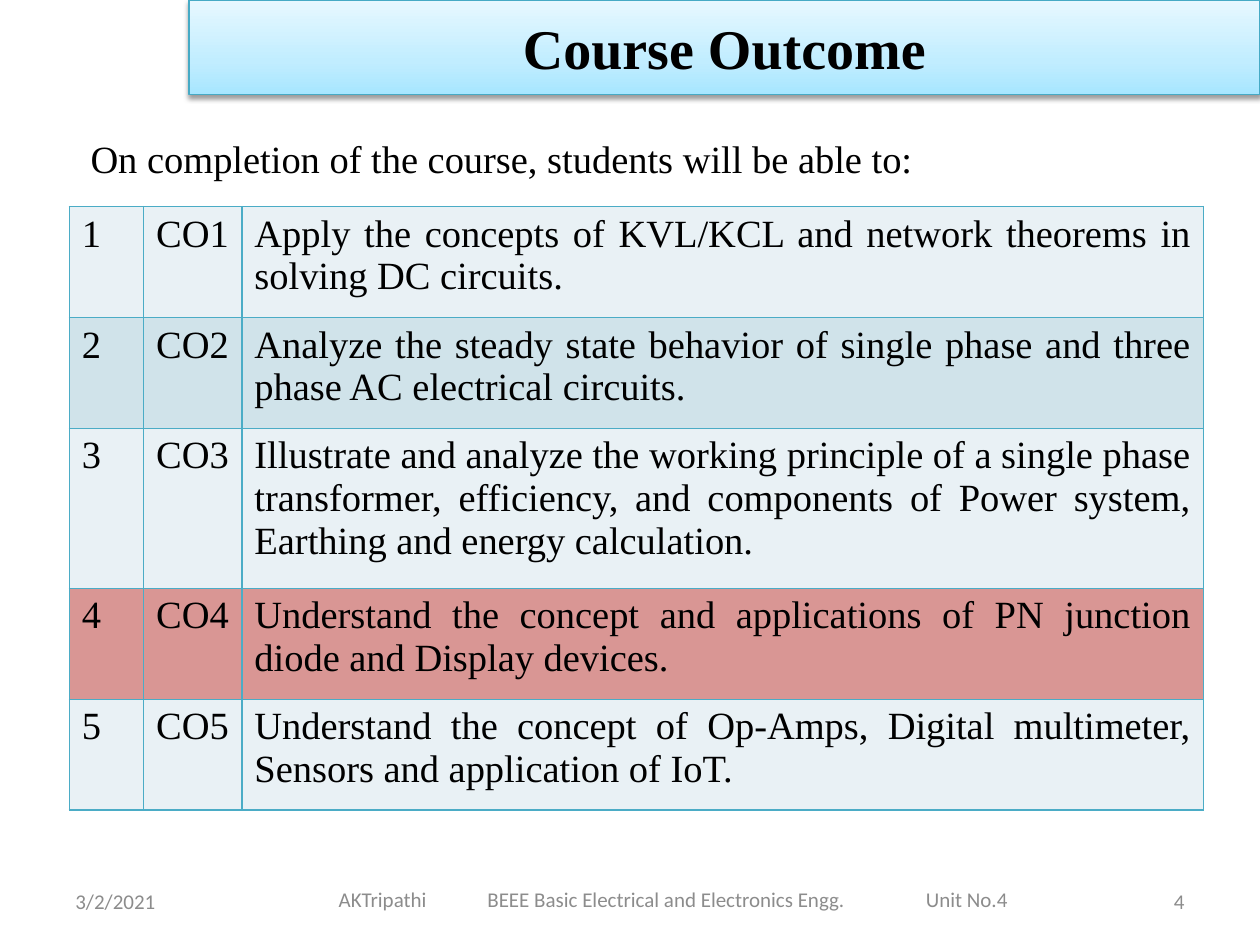
from copy import deepcopy

from lxml import etree
from pptx import Presentation, util as u
from pptx.dml.color import RGBColor
from pptx.enum import text
from pptx.oxml import parse_xml
from pptx.oxml.ns import nsdecls, qn

SERIF, SANS = "Times New Roman", "Calibri"
AL = text.PP_ALIGN


def style(tf, size, font, color, align, bold=False):
    for p in tf.paragraphs:
        p.alignment = align
        for r in p.runs:
            r.font.size, r.font.name, r.font.bold = u.Pt(size), font, bold
            r.font.color.rgb = RGBColor.from_string(color)


def add_text(s, box, words, size, font, color, align, anchor):
    tf = s.shapes.add_textbox(*map(u.Inches, box)).text_frame
    tf.word_wrap = True
    tf.vertical_anchor = anchor
    tf.text = words
    style(tf, size, font, color, align)
    return tf


prs = Presentation()
prs.slide_width, prs.slide_height = u.Inches(10), u.Inches(7.5)
s = prs.slides.add_slide(prs.slide_layouts[5])

# Title banner
title = s.shapes.title
title.left, title.top = u.Inches(1.5), 0
title.width, title.height = u.Inches(8.5), u.Inches(0.75)
title.fill.gradient()
title.fill.gradient_angle = 90
stop_list = title.fill.gradient_stops[0]._gs.getparent()
stop_list.append(deepcopy(stop_list[-1]))
stops = [(0, "A7E6FF"), (0.35, "C1EDFF"), (1, "E7F8FF")]
for stop, (position, color) in zip(title.fill.gradient_stops, stops):
    stop.position = position
    stop.color.rgb = RGBColor.from_string(color)
title.line.color.rgb = RGBColor.from_string("46AAC5")
title.line.width = u.Pt(0.75)
title._element.spPr.append(parse_xml(
    f'<a:effectLst {nsdecls("a")}><a:outerShdw blurRad="{u.Pt(3.1)}" dist="{u.Pt(1.6)}" '
    'dir="5400000" rotWithShape="0"><a:srgbClr val="000000"><a:alpha val="38000"/>'
    '</a:srgbClr></a:outerShdw></a:effectLst>'))
tf = title.text_frame
tf.text = "Course Outcome"
tf.auto_size = text.MSO_AUTO_SIZE.NONE
tf.vertical_anchor = text.MSO_ANCHOR.MIDDLE
style(tf, 32, SERIF, "000000", AL.CENTER, bold=True)

add_text(s, (0.62, 1.02, 8.91, 0.84), "On completion of the course, students will be able to:",
         22, SERIF, "000000", AL.JUSTIFY, text.MSO_ANCHOR.TOP)

# Outcomes table
PALE, BAND, CURRENT = "E9F1F5", "D0E3EA", "D99694"
outcomes = [
    ("Apply the concepts of KVL/KCL and network theorems in solving DC circuits.", 0.88, PALE),
    ("Analyze the steady state behavior of single phase and three phase AC electrical circuits.",
     0.88, BAND),
    ("Illustrate and analyze the working principle of a single phase transformer, efficiency, "
     "and components of Power system, Earthing and energy calculation.", 1.27, PALE),
    ("Understand the concept and applications of PN junction diode and Display devices.",
     0.88, CURRENT),
    ("Understand the concept of Op-Amps, Digital multimeter, Sensors and application of IoT.",
     0.88, PALE),
]
table = s.shapes.add_table(len(outcomes), 3, *map(u.Inches, (0.55, 1.64, 9, 4.79))).table
table.first_row = table.horz_banding = False
for column, width in zip(table.columns, (0.59, 0.78, 7.63)):
    column.width = u.Inches(width)
for n, (row, (outcome, height, color)) in enumerate(zip(table.rows, outcomes), 1):
    row.height = u.Inches(height)
    for cell, words in zip(row.cells, (str(n), f"CO{n}", outcome)):
        cell.text = words
        style(cell.text_frame, 22, SERIF, "000000", AL.JUSTIFY)
        cell.fill.solid()
        cell.fill.fore_color.rgb = RGBColor.from_string(color)
        for i, side in enumerate(("lnL", "lnR", "lnT", "lnB")):
            cell._tc.get_or_add_tcPr().insert(i, parse_xml(
                f'<a:{side} {nsdecls("a")} w="{u.Pt(1)}"><a:solidFill>'
                f'<a:srgbClr val="4BACC6"/></a:solidFill></a:{side}>'))

# Footer
footer = [
    ((0.5, 6.95, 2.33, 0.4), "3/2/2021", AL.LEFT),
    ((2.5, 6.94, 5.7, 0.4),
     "\tAKTripathi\tBEEE Basic Electrical and Electronics Engg.\tUnit No.4", AL.LEFT),
    ((7.17, 6.95, 2.33, 0.4), "4", AL.RIGHT),
]
for box, words, align in footer:
    tf = add_text(s, box, words, 12, SANS, "8C8C8C", align, text.MSO_ANCHOR.MIDDLE)
    if "\t" in words:
        tabs = etree.SubElement(tf.paragraphs[0]._p.get_or_add_pPr(), qn("a:tabLst"))
        for position in (0.09, 1.27, 4.75):
            etree.SubElement(tabs, qn("a:tab"), pos=str(u.Inches(position)), algn="l")

prs.save("out.pptx")
